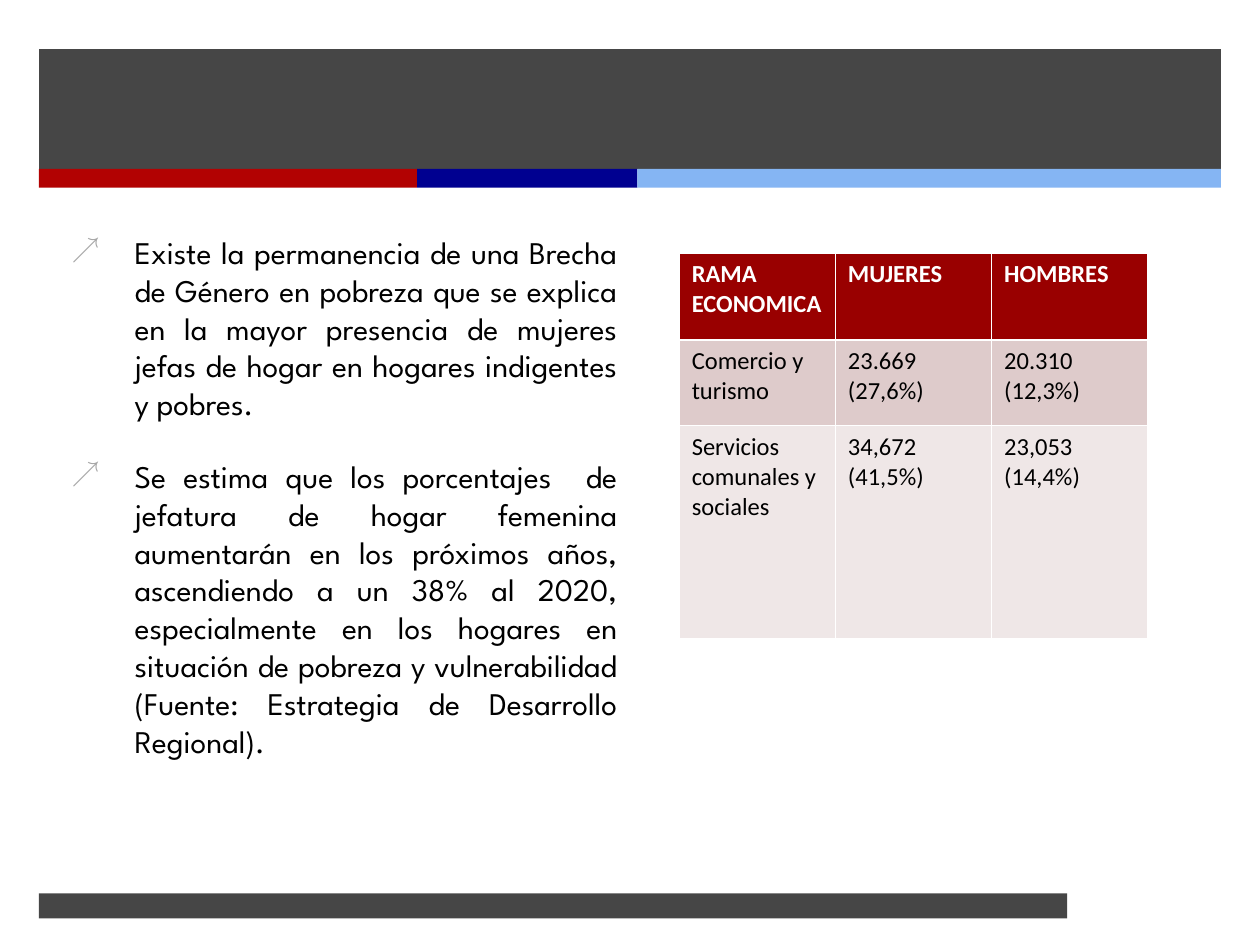
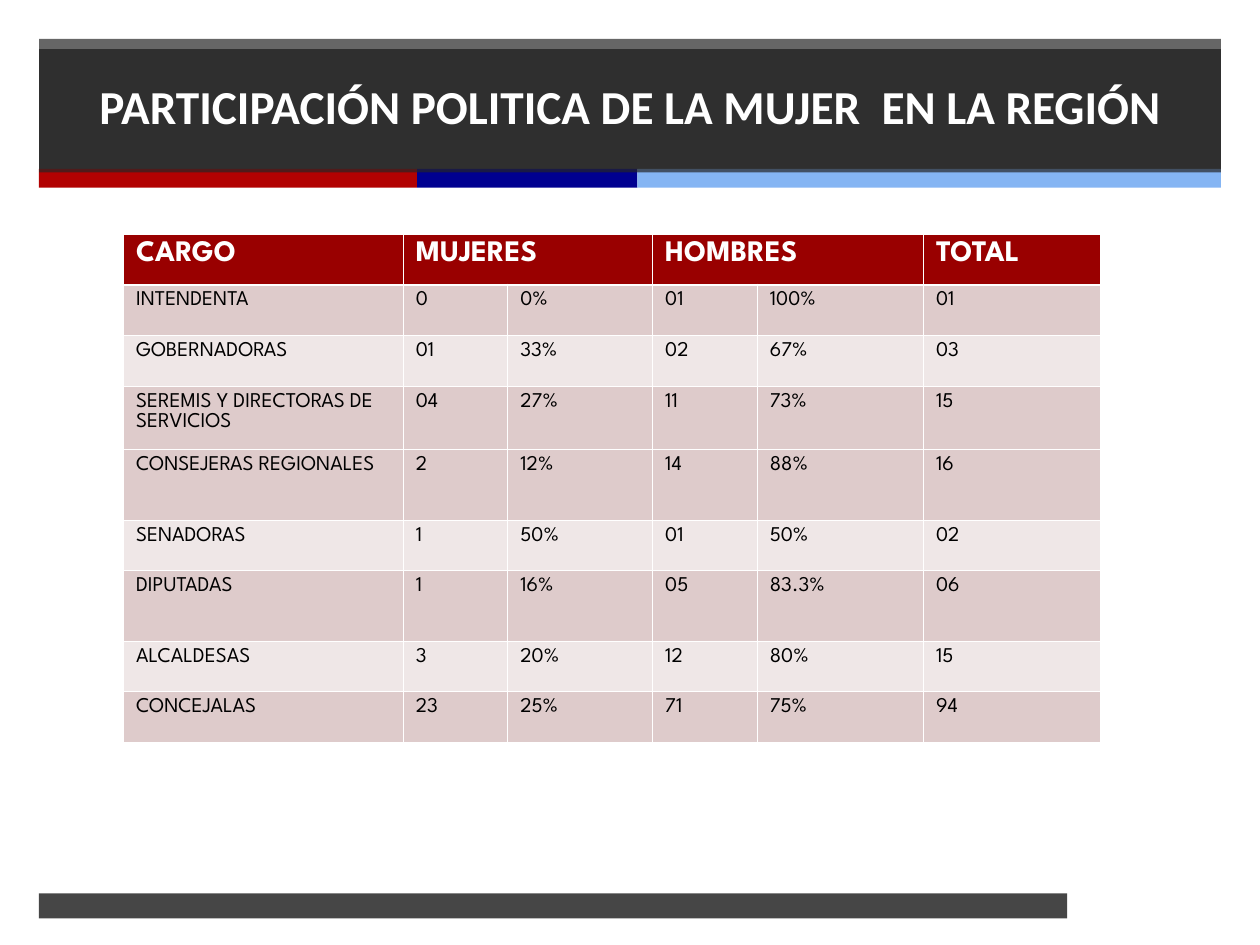
from itertools import accumulate

from pptx import Presentation
from pptx import oxml, util as u
from pptx.dml.color import RGBColor
from pptx.enum import shapes, text
from pptx.oxml import ns

WHITE = RGBColor(0xFF, 0xFF, 0xFF)
BLACK = RGBColor(0x00, 0x00, 0x00)
CHARCOAL = RGBColor(0x26, 0x26, 0x26)
RED = RGBColor(0xB2, 0x02, 0x02)
NAVY = RGBColor(0x00, 0x00, 0x90)
SKY = RGBColor(0x85, 0xB5, 0xF3)
GREY = RGBColor(0xA6, 0xA6, 0xA6)
HEADER = RGBColor(0x99, 0x00, 0x00)
ROSE = RGBColor(0xDE, 0xCB, 0xCB)
PALE = RGBColor(0xEF, 0xE7, 0xE7)

SANS, DISPLAY = "Calibri", "League Spartan"
BAND_LEFT, BAND_WIDTH = 0.31, 9.38
STRIPES = [(RED, 3), (NAVY, 1.75), (SKY, 4.63)]
THIN, THICK = 0.45, 1.47

GAP_POINTS = [
    "Existe la permanencia de una Brecha de Género en pobreza que se explica en la "
    "mayor presencia de mujeres jefas de hogar en hogares indigentes y pobres.",
    "Se estima que los porcentajes  de jefatura de hogar femenina aumentarán en los "
    "próximos años, ascendiendo a un 38% al 2020, especialmente en los hogares en "
    "situación de pobreza y vulnerabilidad (Fuente: Estrategia de Desarrollo Regional).",
]
BRANCH_ROWS = [
    ["RAMA ECONOMICA", "MUJERES", "HOMBRES"],
    ["Comercio y turismo", "23.669 (27,6%)", "20.310 (12,3%)"],
    ["Servicios comunales y sociales", "34,672 (41,5%)", "23,053 (14,4%)"],
]
# An empty heading belongs to the merged cell on its left
OFFICE_ROWS = [
    ["CARGO", "MUJERES", "", "HOMBRES", "", "TOTAL"],
    ["INTENDENTA", "0", "0%", "01", "100%", "01"],
    ["GOBERNADORAS", "01", "33%", "02", "67%", "03"],
    ["SEREMIS Y DIRECTORAS DE SERVICIOS", "04", "27%", "11", "73%", "15"],
    ["CONSEJERAS REGIONALES", "2", "12%", "14", "88%", "16"],
    ["SENADORAS", "1", "50%", "01", "50%", "02"],
    ["DIPUTADAS", "1", "16%", "05", "83.3%", "06"],
    ["ALCALDESAS", "3", "20%", "12", "80%", "15"],
    ["CONCEJALAS", "23", "25%", "71", "75%", "94"],
]


def add_span(para, words, color, **font):
    span = para.add_run()
    span.text = words
    span.font.color.rgb = color
    for name, value in font.items():
        setattr(span.font, name, value)


def add_block(page, box, color, opacity=100):
    """Plain rectangle; box is left, top, width, height in inches."""
    block = page.shapes.add_shape(shapes.MSO_SHAPE.RECTANGLE, *map(u.Inches, box))
    block.shadow.inherit = False
    block.line.fill.background()
    block.fill.solid()
    block.fill.fore_color.rgb = color
    if opacity < 100:
        tint = block.fill._xPr.find(".//" + ns.qn("a:srgbClr"))
        tint.append(oxml.parse_xml(
            f'<a:alpha {ns.nsdecls("a")} val="{opacity * 1000}"/>'))
    return block


def add_page(deck):
    """Blank page with the top band, its stripes and the footer bar."""
    page = deck.slides.add_slide(deck.slide_layouts[6])
    add_block(page, (BAND_LEFT, 0.39, BAND_WIDTH, 0.95), CHARCOAL, 85)
    widths = [width for _, width in STRIPES]
    for (color, width), offset in zip(STRIPES, accumulate(widths, initial=0)):
        add_block(page, (BAND_LEFT + offset, 1.34, width, 0.15), color)
    add_block(page, (BAND_LEFT, 7.09, 8.16, 0.2), CHARCOAL, 85)
    return page


def add_title(page, words):
    block = add_block(page, (BAND_LEFT, 0.31, BAND_WIDTH, 1.06), CHARCOAL, 70)
    frame = block.text_frame
    frame.word_wrap = True
    frame.vertical_anchor = text.MSO_ANCHOR.MIDDLE
    para = frame.paragraphs[0]
    para.alignment = text.PP_ALIGN.CENTER
    add_span(para, words, WHITE, size=u.Pt(27), name=SANS, bold=True)


def add_arrow_bullet(para):
    props = para._p.get_or_add_pPr()
    for name, value in {"marL": u.Inches(0.5), "indent": -u.Inches(0.5)}.items():
        props.set(name, str(value))
    for markup in (f'<a:buClr {ns.nsdecls("a")}><a:srgbClr val="{GREY}"/></a:buClr>',
                   f'<a:buSzPct {ns.nsdecls("a")} val="90000"/>',
                   f'<a:buFont {ns.nsdecls("a")} typeface="{DISPLAY}"/>',
                   f'<a:buChar {ns.nsdecls("a")} char="↗"/>'):
        props.append(oxml.parse_xml(markup))


def add_bullets(page, box, points):
    frame = page.shapes.add_textbox(*map(u.Inches, box)).text_frame
    frame.word_wrap = True
    layout = {"alignment": text.PP_ALIGN.JUSTIFY, "space_before": u.Pt(20)}
    for index, words in enumerate(points):
        para = frame.add_paragraph() if index else frame.paragraphs[0]
        for name, value in layout.items():
            setattr(para, name, value)
        add_arrow_bullet(para)
        add_span(para, words, BLACK, size=u.Pt(18), name=DISPLAY)


def set_borders(cell, top, bottom):
    props = cell._tc.get_or_add_tcPr()
    for index, (side, points) in enumerate(
            {"L": THIN, "R": THIN, "T": top, "B": bottom}.items()):
        props.insert(index, oxml.parse_xml(
            f'<a:ln{side} {ns.nsdecls("a")} w="{u.Pt(points)}"><a:solidFill>'
            f'<a:srgbClr val="{WHITE}"/></a:solidFill></a:ln{side}>'))


def add_grid(page, corner, widths, heights, rows, font, sizes, pale_rows):
    """Table with a red heading row; sizes are heading and body points."""
    box = (*corner, sum(widths), sum(heights))
    table = page.shapes.add_table(
        len(rows), len(widths), *map(u.Inches, box)).table
    table.horz_banding = False
    for column, width in zip(table.columns, widths):
        column.width = u.Inches(width)
    for line, height in zip(table.rows, heights):
        line.height = u.Inches(height)
    for r, row in enumerate(rows):
        heading = r == 0
        fill = HEADER if heading else PALE if r in pale_rows else ROSE
        for c, words in enumerate(row):
            cell = table.cell(r, c)
            cell.fill.solid()
            cell.fill.fore_color.rgb = fill
            set_borders(cell, THICK if r == 1 else THIN, THICK if heading else THIN)
            if words:
                add_span(cell.text_frame.paragraphs[0], words,
                         WHITE if heading else BLACK, name=font, bold=heading,
                         size=u.Pt(sizes[0] if heading else sizes[1]))
            else:
                table.cell(r, c - 1).merge(cell)


def add_poverty_page(deck):
    page = add_page(deck)
    add_bullets(page, (0.47, 1.8, 4.53, 5.08), GAP_POINTS)
    add_grid(page, (5.39, 2.01), [1.24] * 3, [0.69, 0.68, 1.69], BRANCH_ROWS,
             SANS, (14, 14), {2})


def add_politics_page(deck):
    page = add_page(deck)
    add_title(page, "PARTICIPACIÓN POLITICA DE LA MUJER  EN LA REGIÓN")
    add_grid(page, (0.98, 1.86), [2.22, 0.83, 1.15, 0.83, 1.32, 1.4],
             [0.4, 0.4, 0.41, 0.5, 0.56, 0.4, 0.56, 0.4, 0.4], OFFICE_ROWS,
             DISPLAY, (17, 12), {2, 5, 7})


def main():
    deck = Presentation()
    deck.slide_width, deck.slide_height = u.Inches(10), u.Inches(7.5)
    add_poverty_page(deck)
    add_politics_page(deck)
    deck.save("out.pptx")


if __name__ == "__main__":
    main()
